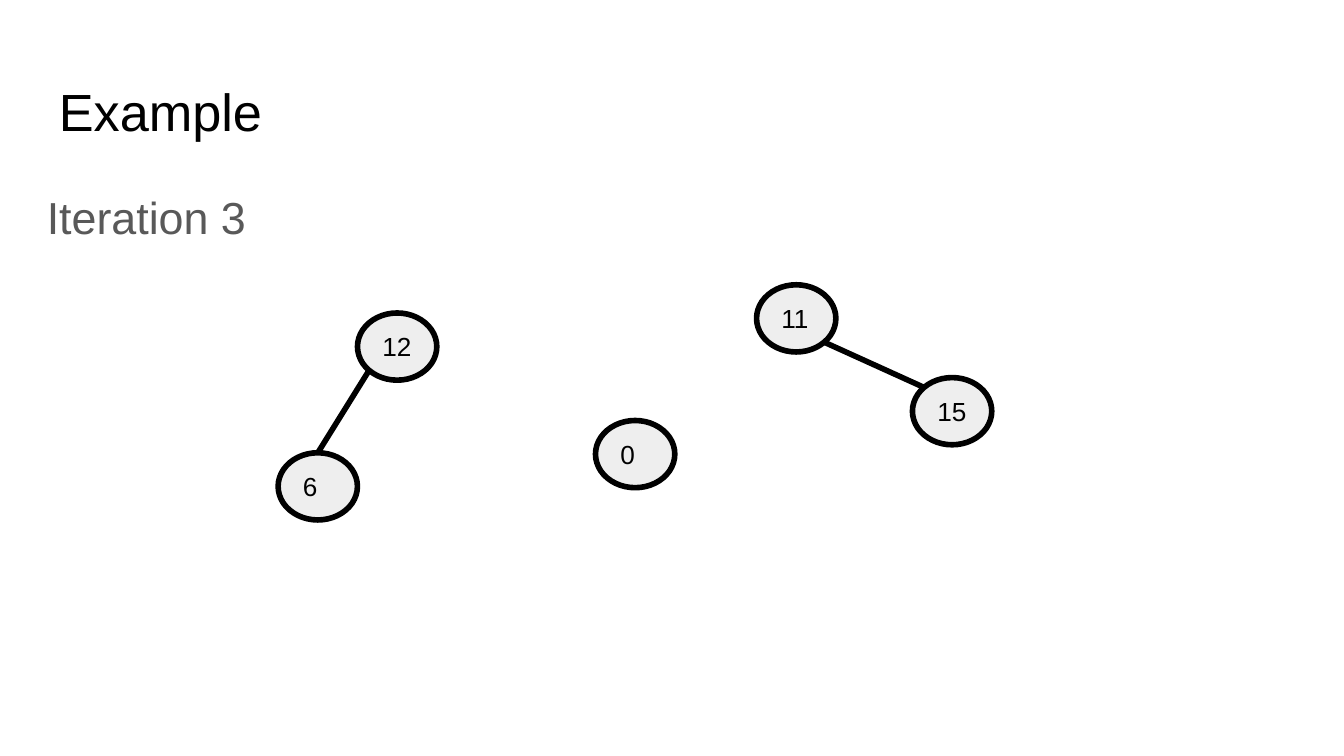
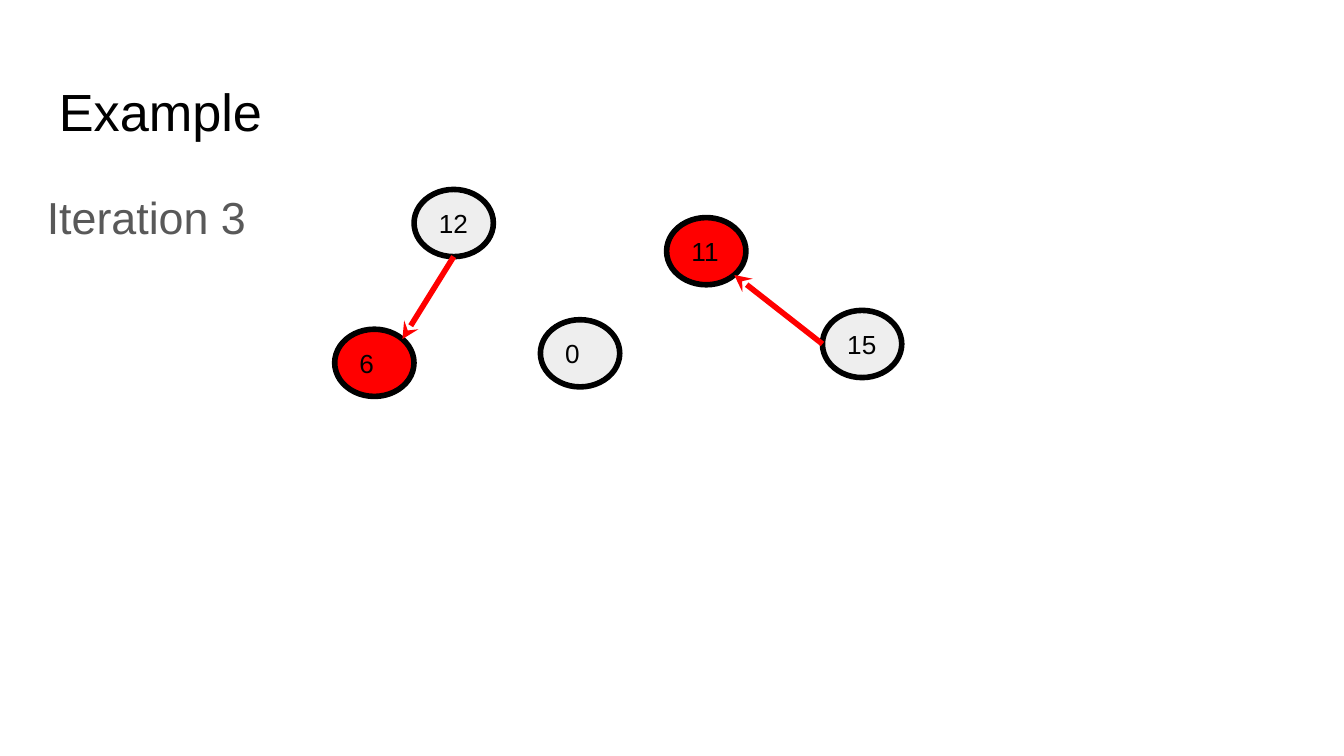
import math

import pptx
import pptx.dml.color
import pptx.enum.shapes
import pptx.enum.text
import pptx.oxml
import pptx.oxml.ns
import pptx.util

Pt = pptx.util.Pt
RGBColor = pptx.dml.color.RGBColor
ANCHOR = pptx.enum.text.MSO_ANCHOR

BLACK = RGBColor(0x00, 0x00, 0x00)
GRAY = RGBColor(0x59, 0x59, 0x59)
PALE = RGBColor(0xEE, 0xEE, 0xEE)
RED = RGBColor(0xFF, 0x00, 0x00)

FONT = "Arial"
INSET = 7.2
STROKE = 3
NODE_WIDTH, NODE_HEIGHT = 42.5, 36

TITLE_BOX = (24.5, 35.3, 671, 45.4)
SUBTITLE_BOX = (18, 90, 165.6, 51.1)

# Offsets of the second node of each pair from the first
STEP_6_TO_12 = (42.5, -74.9)
STEP_11_TO_15 = (83.5, 49.7)

# Directions in degrees, clockwise from the right
EAST_STEP = 45
SITES = {name: index * EAST_STEP for index, name in
         enumerate(["E", "SE", "S", "SW", "W", "NW", "N", "NE"])}


def write_text(shape, text, size, color, anchor=ANCHOR.TOP):
    frame = shape.text_frame
    frame.word_wrap = True
    frame.vertical_anchor = anchor
    frame.margin_left = frame.margin_right = Pt(INSET)
    frame.margin_top = frame.margin_bottom = Pt(INSET)
    paragraph = frame.paragraphs[0]
    paragraph.alignment = pptx.enum.text.PP_ALIGN.LEFT
    run = paragraph.add_run()
    run.text = text
    run.font.name = FONT
    run.font.size = Pt(size)
    run.font.color.rgb = color
    return paragraph


def add_headings(slide, title, subtitle):
    title_shape = slide.shapes.add_textbox(*map(Pt, TITLE_BOX))
    write_text(title_shape, title, 28, BLACK)
    subtitle_shape = slide.shapes.add_textbox(*map(Pt, SUBTITLE_BOX))
    paragraph = write_text(subtitle_shape, subtitle, 24, GRAY)
    paragraph.line_spacing = 1.15
    paragraph.space_after = Pt(16)


def add_node(slide, label, left, top, fill):
    shape = slide.shapes.add_shape(
        pptx.enum.shapes.MSO_SHAPE.OVAL,
        Pt(left), Pt(top), Pt(NODE_WIDTH), Pt(NODE_HEIGHT))
    shape.shadow.inherit = False
    shape.fill.solid()
    shape.fill.fore_color.rgb = fill
    shape.line.color.rgb = BLACK
    shape.line.width = Pt(STROKE)
    write_text(shape, label, 14, BLACK, ANCHOR.MIDDLE)


def rim_point(position, site):
    """Return the point on a node's rim in the named direction."""
    left, top = position
    angle = math.radians(SITES[site])
    return (Pt(left + NODE_WIDTH / 2 * (1 + math.cos(angle))),
            Pt(top + NODE_HEIGHT / 2 * (1 + math.sin(angle))))


def add_edge(slide, begin, end, color, arrow):
    connector = slide.shapes.add_connector(
        pptx.enum.shapes.MSO_CONNECTOR.STRAIGHT, *begin, *end)
    connector.line.color.rgb = color
    connector.line.width = Pt(STROKE)
    if arrow:
        line = connector.line._get_or_add_ln()
        head = pptx.oxml.parse_xml(
            f'<a:headEnd {pptx.oxml.ns.nsdecls("a")} type="stealth" w="med" len="med"/>')
        line.append(head)
    properties = connector._element.spPr
    properties.append(pptx.oxml.parse_xml(
        f'<a:effectLst {pptx.oxml.ns.nsdecls("a")}/>'))


def add_graph(slide, origin, offsets, edges, marked=(), edge_color=BLACK, arrow=False):
    """Place the five nodes from the offsets of 6, 0 and 11, then the edges."""
    positions = {label: (origin[0] + x, origin[1] + y)
                 for label, (x, y) in offsets.items()}
    for parent, child, step in (("11", "15", STEP_11_TO_15),
                                ("6", "12", STEP_6_TO_12)):
        positions[child] = tuple(map(sum, zip(positions[parent], step)))
    for label, position in positions.items():
        add_node(slide, label, *position, RED if label in marked else PALE)
    for begin, begin_site, end, end_site in edges:
        add_edge(slide, rim_point(positions[begin], begin_site),
                 rim_point(positions[end], end_site), edge_color, arrow)


def add_iteration_slide(presentation, **graph):
    slide = presentation.slides.add_slide(presentation.slide_layouts[6])
    add_headings(slide, "Example", "Iteration 3")
    add_graph(slide, **graph)


def main():
    presentation = pptx.Presentation()
    presentation.slide_width = Pt(720)
    presentation.slide_height = Pt(405)
    add_iteration_slide(
        presentation,
        origin=(149, 152.6),
        offsets={"6": (0, 90), "0": (170, 72.7), "11": (256.3, 0)},
        edges=[("11", "SE", "15", "NW"), ("12", "SW", "6", "N")])
    add_iteration_slide(
        presentation,
        origin=(179.3, 101.5),
        offsets={"6": (0, 74.9), "0": (110.2, 69.8), "11": (177.8, 15.1)},
        edges=[("6", "NE", "12", "S"), ("11", "SE", "15", "W")],
        marked=("6", "11"), edge_color=RED, arrow=True)
    presentation.save("out.pptx")


if __name__ == "__main__":
    main()
